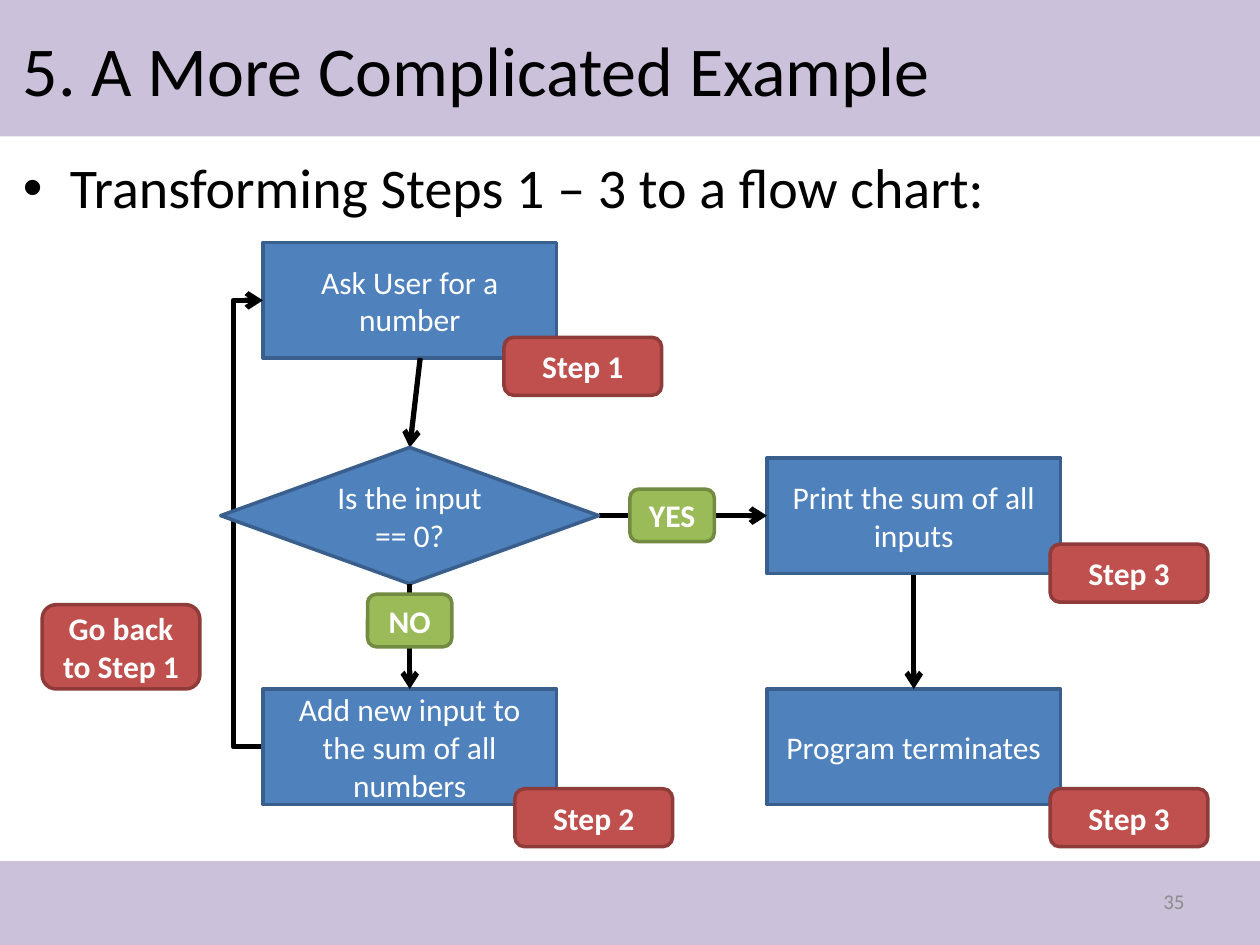
from dataclasses import dataclass
from lxml import etree
from pptx import Presentation
from pptx.dml.color import RGBColor
from pptx.enum.shapes import MSO_CONNECTOR, MSO_SHAPE
from pptx.enum.text import MSO_ANCHOR, PP_ALIGN
from pptx.oxml.ns import qn
from pptx.util import Cm, Pt

RECT, ROUND = MSO_SHAPE.RECTANGLE, MSO_SHAPE.ROUNDED_RECTANGLE
STEP, CHOICE = MSO_SHAPE.FLOWCHART_PROCESS, MSO_SHAPE.FLOWCHART_DECISION
LINE, ELBOW = MSO_CONNECTOR.STRAIGHT, MSO_CONNECTOR.ELBOW
LEFT, MID, RIGHT = PP_ALIGN.LEFT, PP_ALIGN.CENTER, PP_ALIGN.RIGHT
TOP, CENTRE = MSO_ANCHOR.TOP, MSO_ANCHOR.MIDDLE


@dataclass(frozen=True)
class Theme:
    font: str = "Calibri"
    band: str = "CCC1DA"
    ink: str = "000000"
    pale: str = "8C8C8C"
    light: str = "FFFFFF"
    blue: tuple = ("4F81BD", "3A5F8C")
    red: tuple = ("C0504D", "8E3B39")
    green: tuple = ("9BBB59", "738A42")
    title: int = 40
    body: int = 32
    label: int = 18
    small: int = 12
    edge: int = 2
    arrow: int = 3


def rgb(code):
    return RGBColor.from_string(code)


def write(frame, text, *, font, size, color, bold=False, align=LEFT,
          anchor=CENTRE, bullet=False):
    frame.word_wrap = True
    frame.vertical_anchor = anchor
    para = frame.paragraphs[0]
    para.alignment = align
    run = para.add_run()
    run.text = text
    run.font.name, run.font.size, run.font.bold = font, Pt(size), bold
    run.font.color.rgb = rgb(color)
    if bullet:
        props = para._p.get_or_add_pPr()
        props.set("marL", str(Cm(0.95)))
        props.set("indent", str(-Cm(0.95)))
        etree.SubElement(props, qn("a:buFont")).set("typeface", "Arial")
        etree.SubElement(props, qn("a:buChar")).set("char", "•")


class Painter:
    def __init__(self, slide, theme):
        self.slide, self.theme = slide, theme

    def text(self, text, x, y, w, h, **style):
        box = self.slide.shapes.add_textbox(Cm(x), Cm(y), Cm(w), Cm(h))
        write(box.text_frame, text, font=self.theme.font, **style)

    def shape(self, kind, x, y, w, h, fill, edge=None):
        item = self.slide.shapes.add_shape(kind, Cm(x), Cm(y), Cm(w), Cm(h))
        item.shadow.inherit = False
        item.fill.solid()
        item.fill.fore_color.rgb = rgb(fill)
        if edge:
            item.line.color.rgb = rgb(edge)
            item.line.width = Pt(self.theme.edge)
        else:
            item.line.fill.background()
        return item

    def node(self, text, x, y, w, h, kind, colors, bold=False):
        item = self.shape(kind, x, y, w, h, *colors)
        write(item.text_frame, text, font=self.theme.font, size=self.theme.label,
              color=self.theme.light, bold=bold, align=MID)

    def step(self, text, x, y):
        self.node(text, x, y, BOX_W, BOX_H, STEP, self.theme.blue)

    def tag(self, text, x, y, h=1.17):
        self.node(text, x, y, 3.18, h, ROUND, self.theme.red, True)

    def answer(self, text, x, y):
        self.node(text, x, y, 1.7, 1.06, ROUND, self.theme.green, True)

    def arrow(self, x1, y1, x2, y2, kind=LINE):
        link = self.slide.shapes.add_connector(kind, Cm(x1), Cm(y1), Cm(x2), Cm(y2))
        link.line.color.rgb = rgb(self.theme.ink)
        link.line.width = Pt(self.theme.arrow)
        etree.SubElement(link.line._get_or_add_ln(), qn("a:tailEnd")).set("type", "arrow")
        etree.SubElement(link._element.spPr, qn("a:effectLst"))
        return link

    def loop(self, x, top, low, reach):
        # A half turn makes the path start at the bottom and bulge left
        width = 0.04
        link = self.arrow(x, top, x + width, low, ELBOW)
        props = link._element.spPr
        props.find(qn("a:xfrm")).set("rot", "10800000")
        bend = props.find(qn("a:prstGeom")).get_or_add_avLst()
        guide = etree.SubElement(bend, qn("a:gd"))
        guide.set("name", "adj1")
        guide.set("fmla", f"val {round((reach + width) / width * 100000)}")


# Flow chart grid, in centimetres
WIDE, HIGH = 25.4, 19.05
BOX_W, BOX_H = 5.92, 2.33
COL1, COL2 = 5.3, 15.46
ROW1, ROW2, ROW3 = 4.89, 9.23, 13.89
AXIS1, AXIS2 = 8.26, COL2 + BOX_W / 2
HALF = BOX_H / 2
DIA_W, DIA_H = 7.62, 2.75
DIA_X, DIA_Y = AXIS1 - DIA_W / 2, ROW2 + HALF - DIA_H / 2


def main():
    deck = Presentation()
    deck.slide_width, deck.slide_height = Cm(WIDE), Cm(HIGH)
    look = Theme()
    pen = Painter(deck.slides.add_slide(deck.slide_layouts[6]), look)

    # Bands and text
    pen.shape(RECT, 0, 0, WIDE, 2.75, look.band)
    pen.shape(RECT, 0, 17.36, WIDE, 1.69, look.band)
    pen.text("5. A More Complicated Example", 0.21, 0.21, 22.86, 2.33,
             size=look.title, color=look.ink)
    pen.text("Transforming Steps 1 – 3 to a flow chart:", 0.21, 2.96, 24.82, 14.18,
             size=look.body, color=look.ink, anchor=TOP, bullet=True)
    pen.text("35", 18.2, 17.66, 5.93, 1.01,
             size=look.small, color=look.pale, align=RIGHT)

    # Asking and ending
    pen.step("Ask User for a number", COL1, ROW1)
    pen.tag("Step 1", 10.16, 6.8)
    pen.step("Program terminates", COL2, ROW3)
    pen.tag("Step 3", 21.17, 15.9)
    pen.arrow(AXIS2, ROW2 + BOX_H, AXIS2, ROW3)

    # Way back to the first step
    pen.loop(COL1, ROW1 + HALF, ROW3 + HALF, 0.6)
    pen.tag("Go back to Step 1", 0.85, 12.19, 1.7)

    # Yes branch
    pen.step("Print the sum of all inputs", COL2, ROW2)
    pen.tag("Step 3", 21.17, 10.97)
    pen.arrow(DIA_X + DIA_W, ROW2 + HALF, COL2, ROW2 + HALF)
    pen.answer("YES", 12.7, 9.86)

    # Choice and no branch
    pen.arrow(8.47, ROW1 + BOX_H, AXIS1, DIA_Y)
    pen.node("Is the input == 0?", DIA_X, DIA_Y, DIA_W, DIA_H, CHOICE, look.blue)
    pen.step("Add new input to the sum of all numbers", COL1, ROW3)
    pen.tag("Step 2", 10.38, 15.9)
    pen.arrow(AXIS1, DIA_Y + DIA_H, AXIS1, ROW3)
    pen.answer("NO", AXIS1 - 0.85, 11.98)

    deck.save("out.pptx")


if __name__ == "__main__":
    main()
